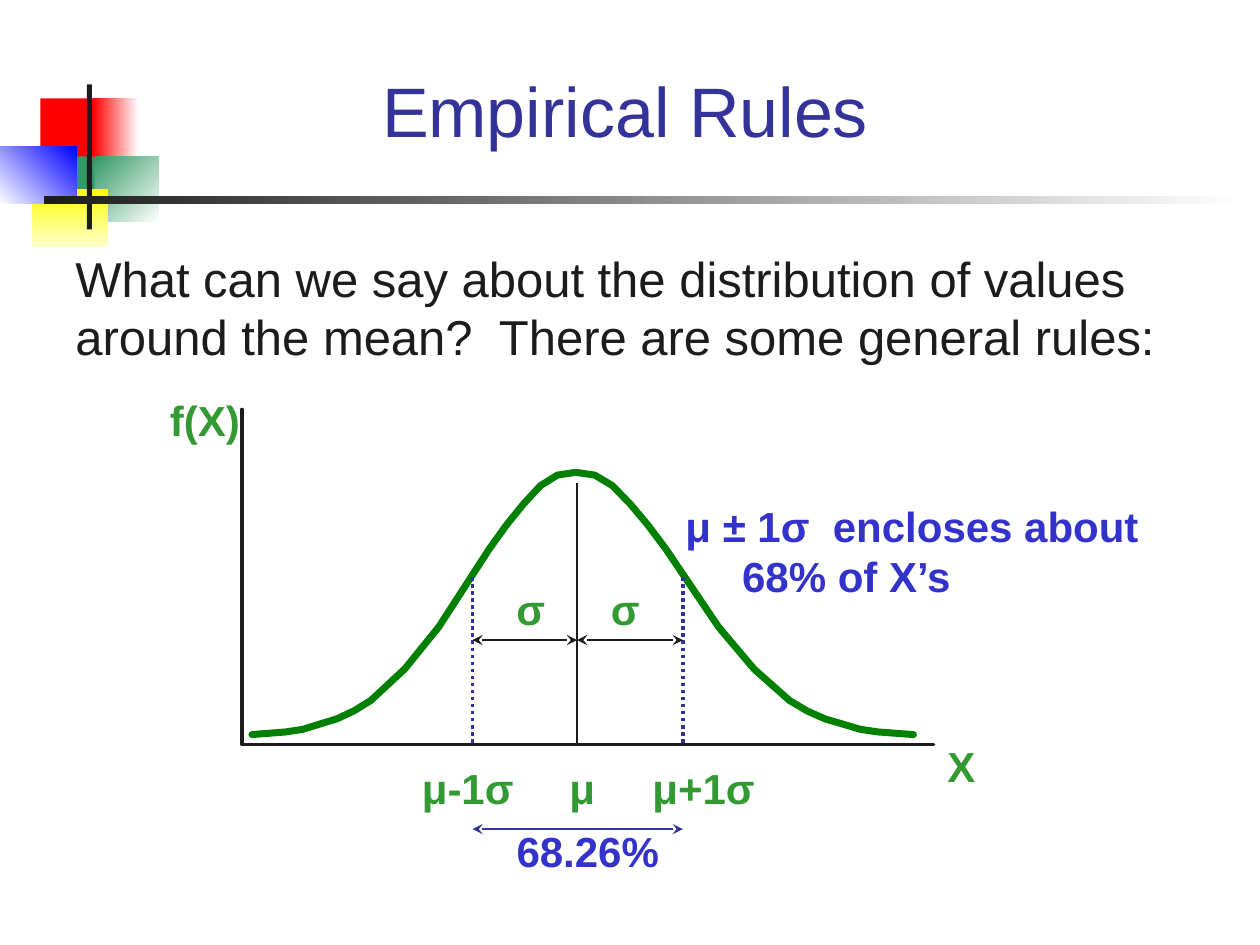
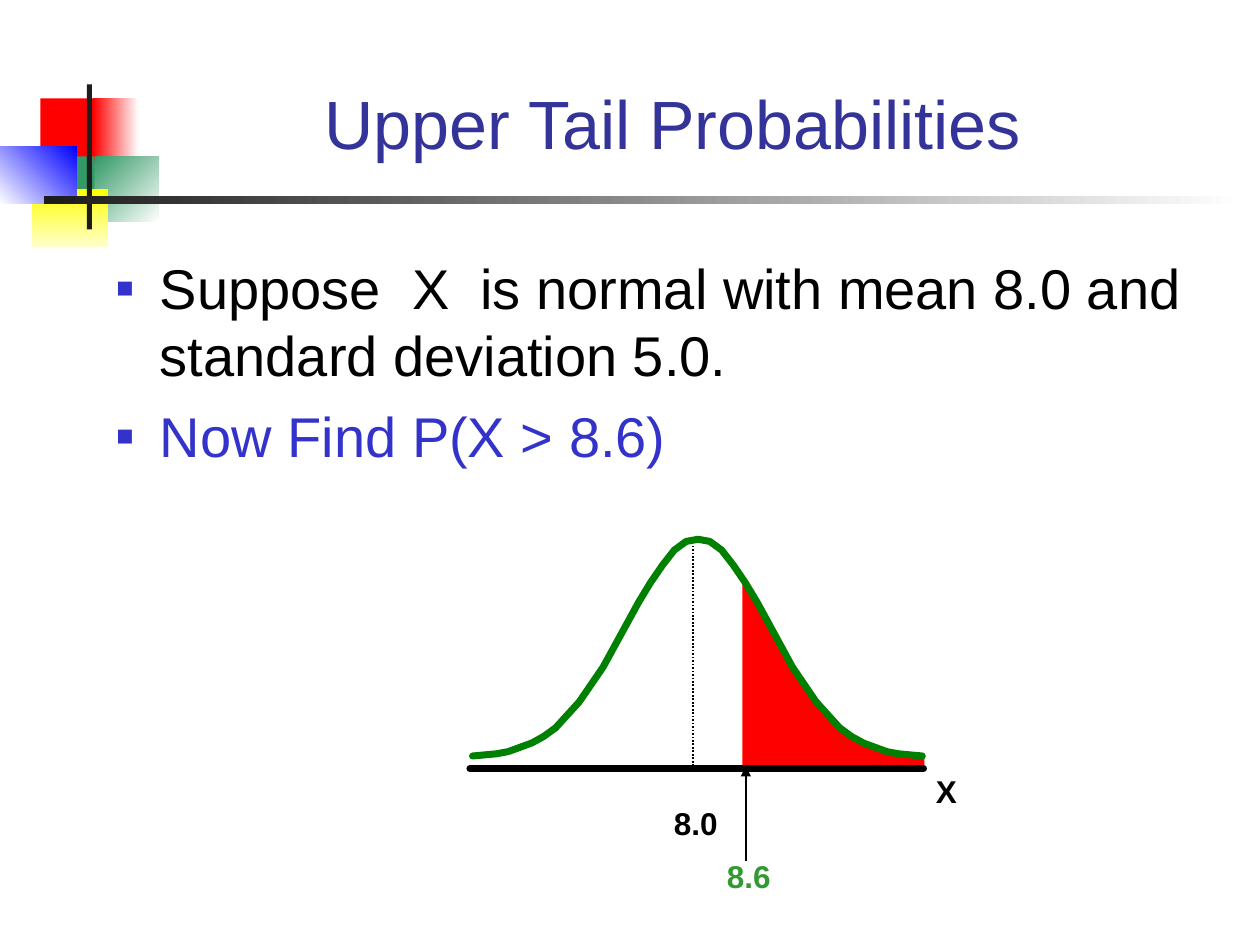
from lxml import etree
from pptx import Presentation
from pptx.dml.color import RGBColor
from pptx.enum.dml import MSO_LINE
from pptx.enum.shapes import MSO_CONNECTOR, MSO_SHAPE
from pptx.enum.text import MSO_ANCHOR, PP_ALIGN
from pptx.oxml.ns import qn
from pptx.util import Inches, Pt

RECTANGLE = MSO_SHAPE.RECTANGLE
STRAIGHT = MSO_CONNECTOR.STRAIGHT
DOTTED = MSO_LINE.ROUND_DOT
TOP, BOTTOM = MSO_ANCHOR.TOP, MSO_ANCHOR.BOTTOM
LEFT, CENTER = PP_ALIGN.LEFT, PP_ALIGN.CENTER

FONT = "Arial"
COLORS = {
    "ink": "1C1C1C", "black": "000000", "white": "FFFFFF",
    "title": "333399", "accent": "3333CC", "label": "339933",
    "curve": "008000", "red": "FF0000", "teal": "339966",
    "yellow": "FFFF00", "cream": "FFFFCC", "blue": "0000FF",
}

# Left, top, width, height, first colour, second colour, clockwise angle
DECORATION = [
    (0.32, 0.78, 0.48, 0.52, "red", None, 0),
    (0.74, 0.78, 0.36, 0.52, "red", "white", 0),
    (0.75, 1.24, 0.51, 0.52, "teal", "white", 45),
    (0.43, 1.24, 0.32, 0.52, "teal", None, 0),
    (0.25, 1.5, 0.61, 0.46, "yellow", "cream", 90),
    (0, 1.16, 0.61, 0.46, "white", "blue", 315),
    (0.69, 0.67, 0.04, 1.15, "ink", None, 0),
    (0.35, 1.56, 9.51, 0.06, "ink", "white", 0),
]

# Half bell from tail to peak: distance in nineteenths, height as a share
BELL_STEPS = [0, 2, 3, 4, 5, 6, 7, 9, 11, 13, 14, 15, 16, 17, 18, 19]
BELL_HEIGHTS = [0, 0.01, 0.02, 0.04, 0.06, 0.09, 0.13, 0.25,
                0.41, 0.61, 0.71, 0.8, 0.88, 0.95, 0.99, 1]


def add_text(slide, text, left, top, width, height, size=24, color="label",
             bold=False, align=LEFT, anchor=TOP, wrap=True, inset=0.1,
             indent=0, first_line=0, space_before=0, bullet=None):
    """Add a text box; text is a string or a list of (string, colour)."""
    shape = slide.shapes.add_textbox(
        Inches(left), Inches(top), Inches(width), Inches(height))
    frame = shape.text_frame
    frame.word_wrap = wrap
    frame.vertical_anchor = anchor
    frame.margin_left = frame.margin_right = Inches(inset)
    frame.margin_top = frame.margin_bottom = Inches(0.05)
    lines = [(text, color)] if isinstance(text, str) else text
    for number, (line, line_color) in enumerate(lines):
        paragraph = frame.add_paragraph() if number else frame.paragraphs[0]
        paragraph.alignment = align
        if number:
            paragraph.space_before = Pt(space_before)
        properties = paragraph._p.get_or_add_pPr()
        if indent:
            properties.set("marL", str(Inches(indent)))
            properties.set("indent", str(Inches(first_line)))
        if bullet:
            bullet_color = etree.SubElement(properties, qn("a:buClr"))
            etree.SubElement(bullet_color, qn("a:srgbClr"), val=COLORS["accent"])
            etree.SubElement(properties, qn("a:buFont"), typeface=FONT)
            etree.SubElement(properties, qn("a:buChar"), char=bullet)
        run = paragraph.add_run()
        run.text = line
        run.font.name = FONT
        run.font.size = Pt(size)
        run.font.bold = bold
        run.font.color.rgb = RGBColor.from_string(COLORS[line_color])


def add_path(slide, points, color, width, fill=None, dash=None,
             head=None, tail=None):
    """Add a connector through two points, or an outline through more."""
    corners = [(Inches(x), Inches(y)) for x, y in points]
    if len(corners) == 2:
        shape = slide.shapes.add_connector(STRAIGHT, *corners[0], *corners[1])
        etree.SubElement(shape._element.spPr, qn("a:effectLst"))
    else:
        builder = slide.shapes.build_freeform(*corners[0])
        builder.add_line_segments(corners[1:], close=fill is not None)
        shape = builder.convert_to_shape()
        shape.shadow.inherit = False
        if fill:
            shape.fill.solid()
            shape.fill.fore_color.rgb = RGBColor.from_string(COLORS[fill])
        else:
            shape.fill.background()
    shape.line.color.rgb = RGBColor.from_string(COLORS[color])
    shape.line.width = Pt(width)
    if dash:
        shape.line.dash_style = dash
    outline = shape._element.spPr.find(qn("a:ln"))
    if len(corners) > 2:
        outline.set("cap", "rnd")
        etree.SubElement(outline, qn("a:round"))
    for end, kind in (("a:headEnd", head), ("a:tailEnd", tail)):
        if kind:
            etree.SubElement(outline, qn(end), type=kind)


presentation = Presentation()
presentation.slide_width = Inches(10)
presentation.slide_height = Inches(7.5)

# Shared decoration, title and bell curve: tails, peaks, base and height
SLIDES = [
    ("Empirical Rules", (1.25, 0.25, 7.42, 1), 40,
     [(7.25, 4.58), (2, 4.56)], 5.83, 2.08),
    ("Upper Tail Probabilities", (1.08, 0.42, 8.52, 0.92), 39,
     [(7.32, 5.54), (3.75, 5.54)], 6, 1.72),
]
for title, title_box, title_size, halves, base, rise in SLIDES:
    slide = presentation.slides.add_slide(presentation.slide_layouts[6])
    for left, top, width, height, first, second, angle in DECORATION:
        shape = slide.shapes.add_shape(
            RECTANGLE, Inches(left), Inches(top), Inches(width), Inches(height))
        shape.shadow.inherit = False
        shape.line.fill.background()
        if second:
            shape.fill.gradient()
            shape.fill.gradient_angle = (360 - angle) % 360
            for stop, name in zip(shape.fill.gradient_stops, (first, second)):
                stop.color.rgb = RGBColor.from_string(COLORS[name])
        else:
            shape.fill.solid()
            shape.fill.fore_color.rgb = RGBColor.from_string(COLORS[first])
    add_text(slide, title, *title_box, size=title_size, color="title",
             align=CENTER, anchor=BOTTOM, inset=0.09)

    # The shaded upper tail lies behind the curve
    if title == "Upper Tail Probabilities":
        upper_tail = [
            (5.9, 6.1), (5.9, 4.57), (5.94, 4.69), (6.04, 4.84), (6.1, 4.98),
            (6.17, 5.08), (6.24, 5.23), (6.37, 5.43), (6.48, 5.58),
            (6.66, 5.77), (6.95, 5.94), (7.33, 6), (7.33, 6.1)]
        add_path(slide, upper_tail, "red", 1, fill="red")
    for tail_x, peak_x in halves:
        half_bell = [(tail_x + (peak_x - tail_x) * step / 19, base - rise * share)
                     for step, share in zip(BELL_STEPS, BELL_HEIGHTS)]
        add_path(slide, half_bell, "curve", 4)

rules_slide, tail_slide = presentation.slides

# Empirical rules: question and statement
add_text(rules_slide,
         "What can we say about the distribution of values around the mean?"
         "  There are some general rules:",
         0.5, 1.92, 9.25, 1.04, size=28, color="ink")
add_text(rules_slide, "μ ± 1σ  encloses about 68% of X’s", 5.17, 3.92, 4.58, 1.1,
         color="accent", bold=True, inset=0.09, indent=0.63, first_line=-0.45)

# Empirical rules: axes, mean and one-sigma limits
low, mean, high = 3.75, 4.58, 5.42
add_path(rules_slide, [(1.92, 3.25), (1.92, 5.91), (7.41, 5.91)], "ink", 2)
add_path(rules_slide, [(mean, 3.83), (mean, 5.92)], "ink", 1)
for limit in (low, high):
    add_path(rules_slide, [(limit, 4.58), (limit, 5.92)], "title", 2, dash=DOTTED)
for start, end, y, color in [(mean, high, 5.08, "ink"), (low, mean, 5.08, "ink"),
                             (low, high, 6.58, "title")]:
    add_path(rules_slide, [(start, y), (end, y)], color, 1,
             head="stealth", tail="stealth")

# Empirical rules: labels
for label, left, top, width in [
        ("f(X)", 1.25, 3.08, 0.9), ("X", 7.42, 5.83, 0.42),
        ("μ-1σ", 3.25, 6, 1), ("μ", 4.42, 6, 0.52), ("μ+1σ", 5.08, 6, 1.17),
        ("σ", 4, 4.58, 0.33), ("σ", 4.75, 4.58, 0.33)]:
    add_text(rules_slide, label, left, top, width, 0.5, bold=True)
add_text(rules_slide, "68.26%", 4, 6.5, 1.33, 0.5, color="accent", bold=True,
         align=CENTER, wrap=False)

# Upper tail: problem statement
add_text(tail_slide,
         [("Suppose  X  is normal with mean 8.0 and standard deviation 5.0.", "black"),
          ("Now Find P(X > 8.6)", "accent")],
         0.83, 1.96, 8.83, 4.96, size=32, inset=0.09, indent=0.35,
         first_line=-0.35, space_before=8, bullet="▪")

# Upper tail: axis, mean and cut-off arrow
add_path(tail_slide, [(3.73, 6.1), (3.75, 6.1), (7.33, 6.1)], "black", 4)
add_path(tail_slide, [(5.5, 4.33), (5.5, 6.08)], "black", 1, dash=DOTTED)
add_path(tail_slide, [(5.92, 6.83), (5.92, 6.08)], "black", 1, tail="triangle")
for label, left, top, width, color, wrap in [
        ("X", 7.33, 6.08, 0.42, "black", True),
        ("8.6", 5.67, 6.75, 0.55, "label", False),
        ("8.0", 5.25, 6.33, 0.55, "black", False)]:
    add_text(tail_slide, label, left, top, width, 0.4, size=18, color=color,
             bold=True, wrap=wrap)

presentation.save("out.pptx")
